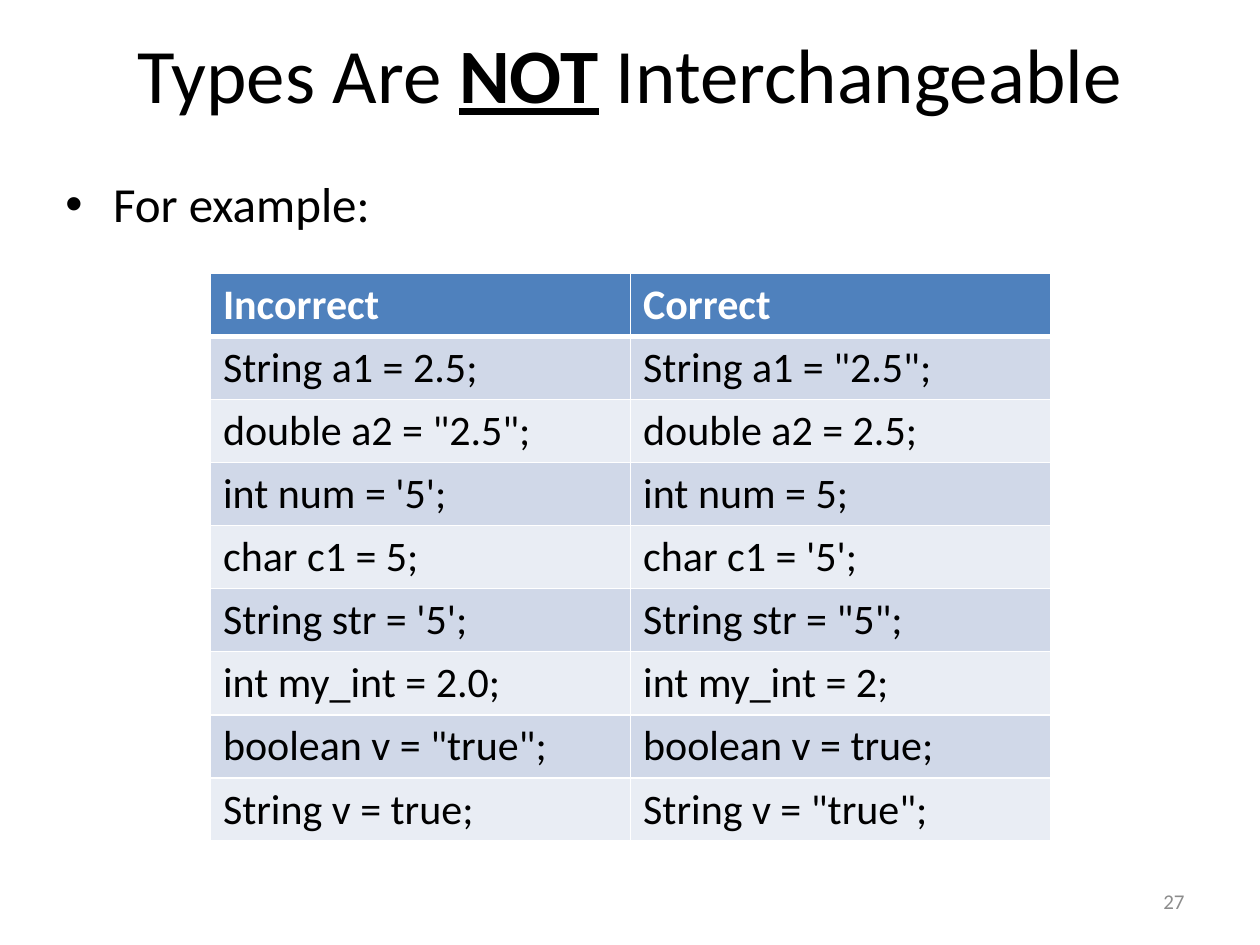
from lxml import etree
from pptx import Presentation
from pptx.dml.color import RGBColor
from pptx.enum.text import MSO_ANCHOR, PP_ALIGN
from pptx.oxml.ns import qn
from pptx.util import Inches, Pt

TOP, MIDDLE = MSO_ANCHOR.TOP, MSO_ANCHOR.MIDDLE
LEFT, CENTER, RIGHT = PP_ALIGN.LEFT, PP_ALIGN.CENTER, PP_ALIGN.RIGHT

FONT = "Calibri"
COLORS = {
    "text": "000000",
    "number": "8C8C8C",
    "white": "FFFFFF",
    "header": "4F81BD",
    "odd_row": "D0D8E8",
    "even_row": "E9EDF4",
}

TITLE = [("Types Are ", False), ("NOT", True), (" Interchangeable", False)]
INTRO = [("For example:", False)]
PAGE_NUMBER = [("27", False)]
EXAMPLES = [
    ("Incorrect", "Correct"),
    ('String a1 = 2.5;', 'String a1 = "2.5";'),
    ('double a2 = "2.5";', 'double a2 = 2.5;'),
    ("int num = '5';", "int num = 5;"),
    ("char c1 = 5;", "char c1 = '5';"),
    ("String str = '5';", 'String str = "5";'),
    ("int my_int = 2.0;", "int my_int = 2;"),
    ('boolean v = "true";', 'boolean v = true;'),
    ('String v = true;', 'String v = "true";'),
]
TABLE_AREA = (1.67, 2.17, 6.67, 4.5)


def set_font(paragraph, size, color, bold=False):
    font = paragraph.font
    font.name, font.size, font.bold = FONT, Pt(size), bold
    font.color.rgb = RGBColor.from_string(COLORS[color])


def add_text(page, area, spans, size, color="text", align=LEFT, anchor=TOP):
    """Add a one-paragraph box; spans are (text, emphasized) pairs."""
    box = page.shapes.add_textbox(*map(Inches, area))
    frame = box.text_frame
    frame.word_wrap = True
    frame.vertical_anchor = anchor
    paragraph = frame.paragraphs[0]
    paragraph.alignment = align
    set_font(paragraph, size, color)
    for text, emphasized in spans:
        span = paragraph.add_run()
        span.text = text
        if emphasized:
            span.font.bold = span.font.underline = True
    return paragraph


def add_bullet(paragraph, indent):
    properties = paragraph._p.get_or_add_pPr()
    properties.set("marL", str(Inches(indent)))
    properties.set("indent", str(-Inches(indent)))
    etree.SubElement(properties, qn("a:buFont")).set("typeface", "Arial")
    etree.SubElement(properties, qn("a:buChar")).set("char", "•")
    # The schema puts default run properties after the bullet.
    properties.append(properties.find(qn("a:defRPr")))


def set_borders(cell, widths):
    """Draw white borders; widths are points for left, right, top, bottom."""
    properties = cell._tc.get_or_add_tcPr()
    for position, (side, width) in enumerate(zip("LRTB", widths)):
        line = etree.Element(qn(f"a:ln{side}"), w=str(Pt(width)))
        fill = etree.SubElement(line, qn("a:solidFill"))
        etree.SubElement(fill, qn("a:srgbClr")).set("val", COLORS["white"])
        properties.insert(position, line)


def add_examples(page):
    row_count, column_count = len(EXAMPLES), len(EXAMPLES[0])
    table = page.shapes.add_table(row_count, column_count, *map(Inches, TABLE_AREA)).table
    for row, texts in enumerate(EXAMPLES):
        header = row == 0
        fill = "header" if header else "odd_row" if row % 2 else "even_row"
        top = 3 if row == 1 else 1
        bottom = 3 if header else 1
        for column, text in enumerate(texts):
            cell = table.cell(row, column)
            cell.text = text
            cell.fill.solid()
            cell.fill.fore_color.rgb = RGBColor.from_string(COLORS[fill])
            set_font(cell.text_frame.paragraphs[0], 24, "white" if header else "text", header)
            set_borders(cell, (1, 1, top, bottom))


def main():
    deck = Presentation()
    deck.slide_width, deck.slide_height = Inches(10), Inches(7.5)
    page = deck.slides.add_slide(deck.slide_layouts[6])

    add_text(page, (0.25, 0.08, 9.5, 1), TITLE, 44, align=CENTER, anchor=MIDDLE)
    intro = add_text(page, (0.42, 1.33, 9.33, 5.33), INTRO, 28)
    intro.space_before = Pt(5.6)
    add_bullet(intro, 0.38)
    add_text(page, (7.17, 6.95, 2.33, 0.4), PAGE_NUMBER, 12, "number", RIGHT, MIDDLE)
    add_examples(page)

    deck.save("out.pptx")


if __name__ == "__main__":
    main()
